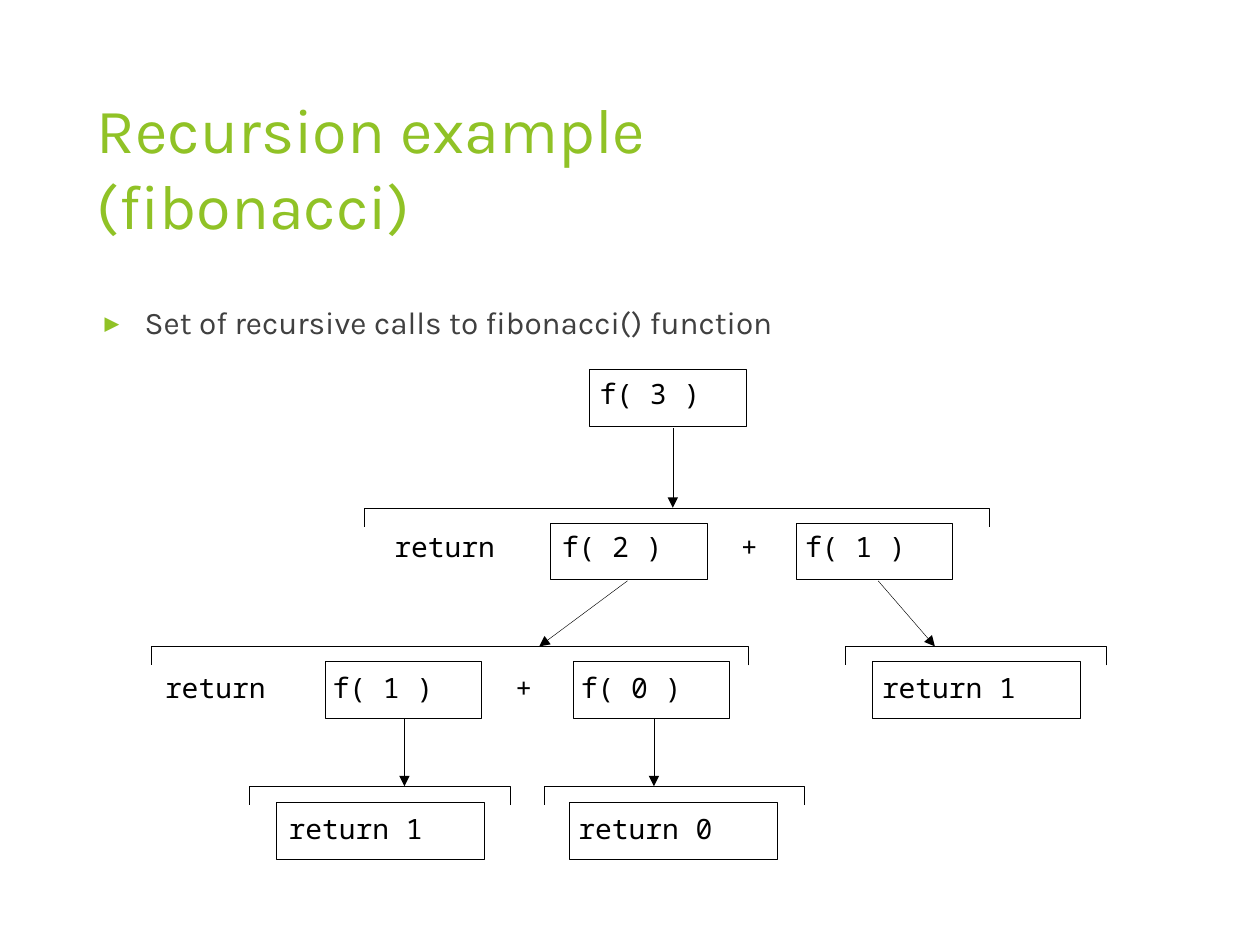
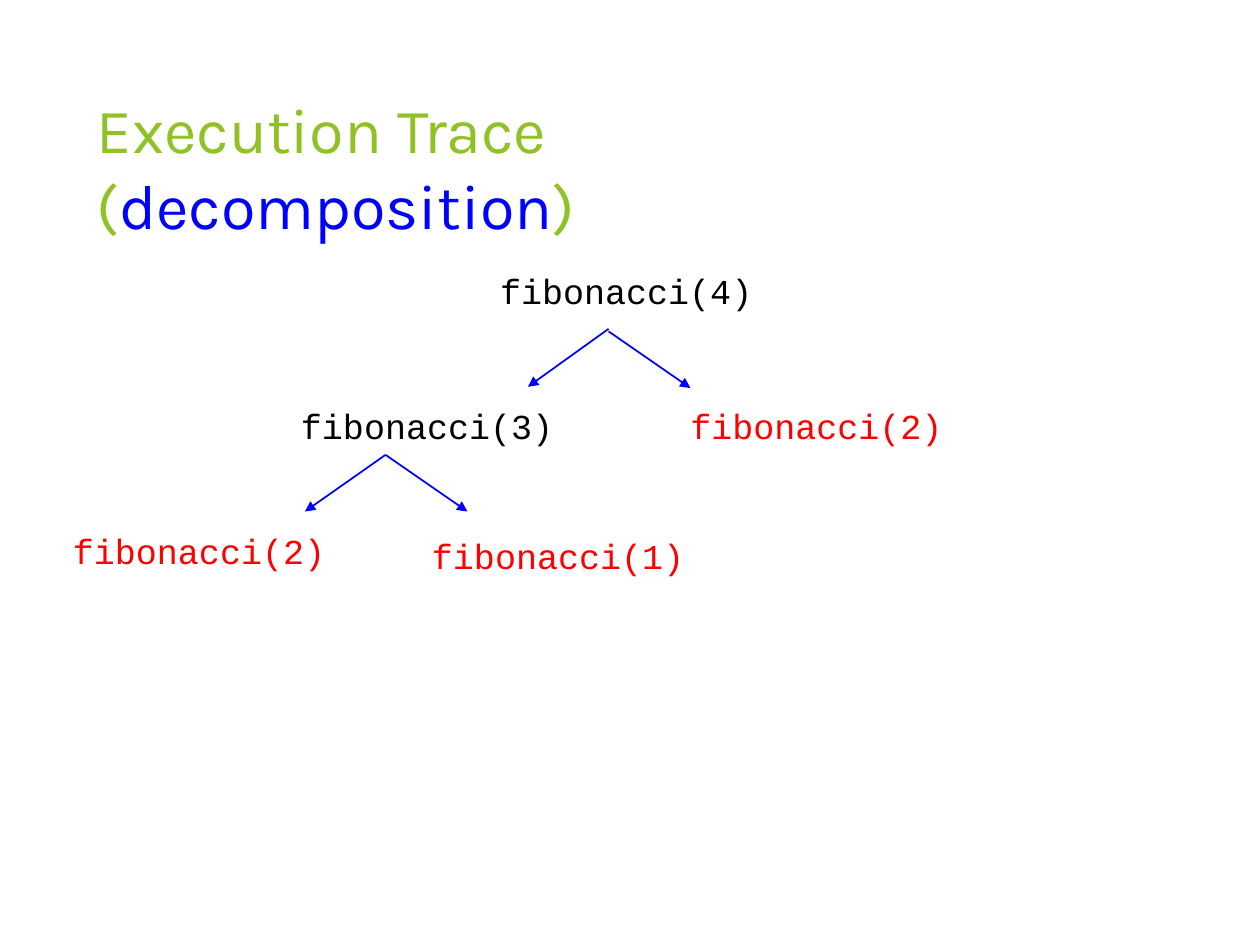
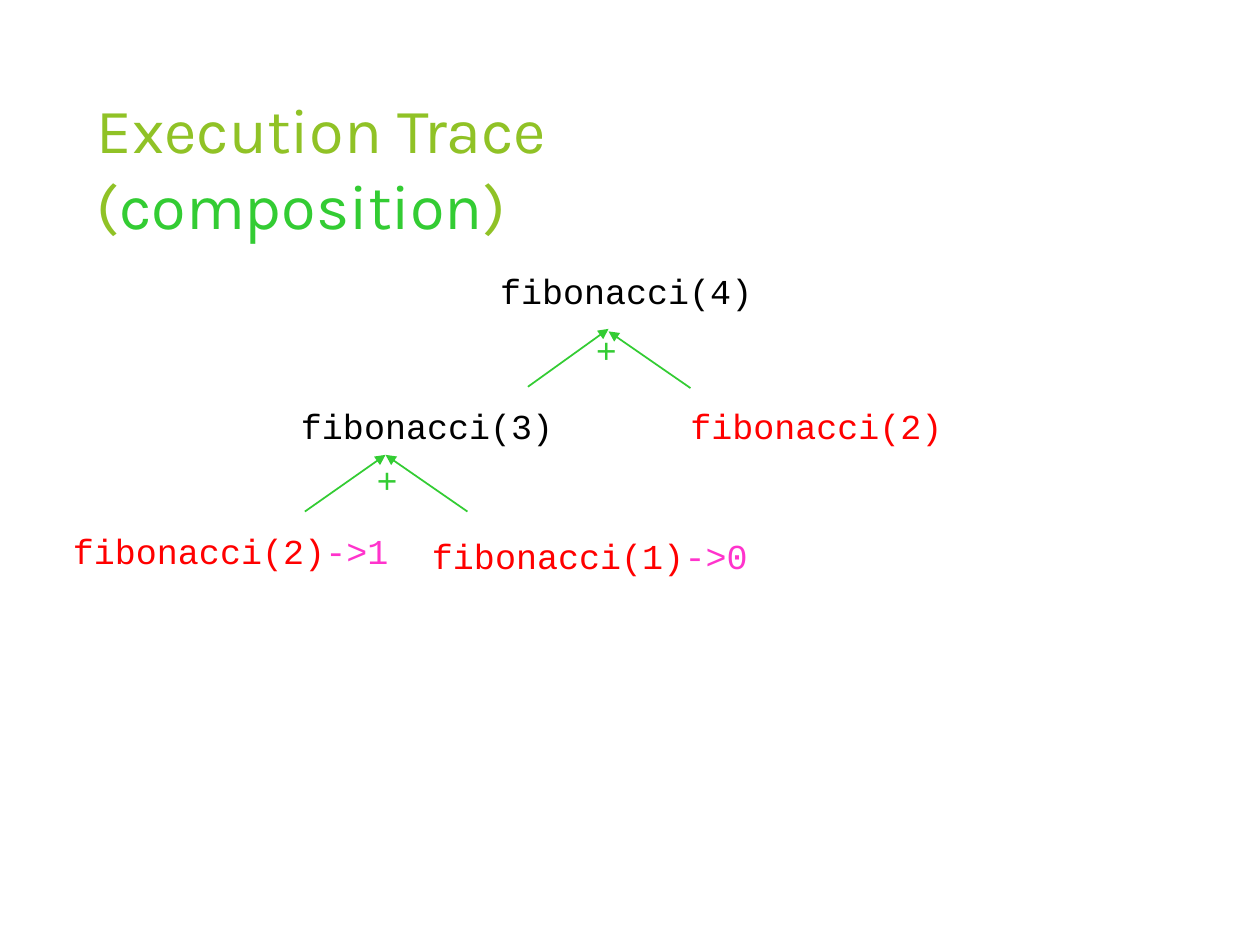
from dataclasses import dataclass
from typing import NamedTuple

from lxml import etree
from pptx import Presentation
from pptx import util as u
from pptx.dml.color import RGBColor
from pptx.enum import shapes, text
from pptx.oxml import ns


class Style(NamedTuple):
    font: str
    size: int


@dataclass(frozen=True)
class Theme:
    accent: str = "90C226"
    body_color: str = "404040"
    ink: str = "000000"
    base_case: str = "FF0000"
    result: str = "FF33CC"
    blue: str = "0000FF"
    green: str = "33CC33"
    title: Style = Style("Karla", 36)
    body: Style = Style("Karla", 18)
    node: Style = Style("Noto Sans Mono", 16)
    trace: Style = Style("Courier New", 20)
    thin: float = 0.25
    arrow: float = 1


THEME = Theme()


class Span(NamedTuple):
    words: str
    color: str = THEME.ink


class Area(NamedTuple):
    left: float
    top: float
    width: float
    height: float


class Link(NamedTuple):
    x1: float
    y1: float
    x2: float
    y2: float


class CallBox(NamedTuple):
    words: str
    left: float
    label_left: float
    width: float


class Label(NamedTuple):
    words: str
    left: float
    width: float


class Bracket(NamedTuple):
    left: float
    right: float


class Level(NamedTuple):
    """One row of the call tree: brackets, boxes and loose words."""
    bracket_top: float
    box_top: float
    label_top: float
    brackets: list[Bracket]
    calls: list[CallBox]
    labels: list[Label]


class TraceNode(NamedTuple):
    words: str
    left: float
    top: float
    color: str = THEME.ink
    value: str = ""


TITLE_AREA = Area(0.67, 0.67, 6.94, 1.44)
BODY_AREA = Area(0.67, 2.36, 6.94, 4.24)
BOX_HEIGHT, LABEL_HEIGHT, LABEL_EXTRA = 0.45, 0.35, 0.07
BRACKET_DEPTH = 0.15
CALL_WIDTH, RETURN_WIDTH = 1.24, 1.65
WORD_WIDTH, PLUS_WIDTH = 1.31, 0.28
TRACE_HEIGHT, TRACE_PADDING, TRACE_ADVANCE = 0.44, 0.21, 1 / 6

LEVELS = [
    Level(0, 2.93, 2.99, [], [CallBox("f( 3 )", 4.68, 4.76, CALL_WIDTH)], []),
    Level(4.03, 4.15, 4.2, [Bracket(2.89, 7.85)],
          [CallBox("f( 2 )", 4.37, 4.46, CALL_WIDTH), CallBox("f( 1 )", 6.32, 6.39, CALL_WIDTH)],
          [Label("return", 3.13, WORD_WIDTH), Label("+", 5.88, PLUS_WIDTH)]),
    Level(5.13, 5.25, 5.32, [Bracket(1.2, 5.94), Bracket(6.71, 8.78)],
          [CallBox("f( 1 )", 2.58, 2.64, CALL_WIDTH), CallBox("f( 0 )", 4.55, 4.61, CALL_WIDTH),
           CallBox("return 1", 6.92, 7, RETURN_WIDTH)],
          [Label("return", 1.31, WORD_WIDTH), Label("+", 4.09, PLUS_WIDTH)]),
    Level(6.24, 6.37, 6.44, [Bracket(1.98, 4.05), Bracket(4.32, 6.38)],
          [CallBox("return 1", 2.19, 2.29, RETURN_WIDTH),
           CallBox("return 0", 4.52, 4.59, RETURN_WIDTH)], []),
]
CALL_LINKS = [
    Link(5.34, 3.4, 5.34, 4.03), Link(4.98, 4.61, 4.28, 5.13), Link(6.97, 4.61, 7.42, 5.13),
    Link(3.21, 5.71, 3.21, 6.24), Link(5.19, 5.71, 5.19, 6.24),
]
TRACE_NODES = [
    TraceNode("fibonacci(4)", 3.87, 2.09),
    TraceNode("fibonacci(3)", 2.29, 3.16),
    TraceNode("fibonacci(2)", 5.38, 3.16, THEME.base_case),
    TraceNode("fibonacci(1)", 3.33, 4.19, THEME.base_case, "->0"),
    TraceNode("fibonacci(2)", 0.48, 4.15, THEME.base_case, "->1"),
]
TRACE_LINKS = [
    Link(4.83, 2.61, 4.19, 3.07), Link(4.83, 2.63, 5.48, 3.08),
    Link(3.06, 3.61, 2.42, 4.06), Link(3.06, 3.61, 3.71, 4.06),
]
PLUS_SIGNS = [TraceNode("+", 2.89, 3.59, THEME.green), TraceNode("+", 4.63, 2.56, THEME.green)]


# Shared drawing functions
def add_text(page, area: Area, style: Style, spans: list[Span], wrap=True, inset=True):
    box = page.shapes.add_textbox(*map(u.Inches, area))
    frame = box.text_frame
    frame.word_wrap = wrap
    if not wrap:
        frame.auto_size = text.MSO_AUTO_SIZE.SHAPE_TO_FIT_TEXT
    if not inset:
        frame.margin_left = frame.margin_right = frame.margin_top = frame.margin_bottom = 0
    para = frame.paragraphs[0]
    for words, color in spans:
        span = para.add_run()
        span.text = words
        span.font.name = style.font
        span.font.size = u.Pt(style.size)
        span.font.color.rgb = RGBColor.from_string(color)
    return para


def set_line(shape, color: str, width: float) -> None:
    shape.line.color.rgb = RGBColor.from_string(color)
    shape.line.width = u.Pt(width)


def add_outline(shape) -> None:
    shape.shadow.inherit = False
    shape.fill.background()
    set_line(shape, THEME.ink, THEME.thin)


def add_arrow(page, link: Link, color: str, width: float, end: str = "tailEnd") -> None:
    arrow = page.shapes.add_connector(shapes.MSO_CONNECTOR.STRAIGHT, *map(u.Inches, link))
    set_line(arrow, color, width)
    etree.SubElement(arrow.line._get_or_add_ln(), ns.qn(f"a:{end}"), type="triangle")
    etree.SubElement(arrow._element.spPr, ns.qn("a:effectLst"))


def add_page(deck, title: list[Span]):
    page = deck.slides.add_slide(deck.slide_layouts[6])
    add_text(page, TITLE_AREA, THEME.title, title)
    return page


# Call tree
def add_bullet(page, words: str) -> None:
    para = add_text(page, BODY_AREA, THEME.body, [Span(words, THEME.body_color)])
    para.space_before = u.Pt(10)
    props = para._p.get_or_add_pPr()
    indent = u.Inches(0.38)
    props.set("marL", str(indent))
    props.set("indent", str(-indent))
    color = etree.SubElement(props, ns.qn("a:buClr"))
    etree.SubElement(color, ns.qn("a:srgbClr"), val=THEME.accent)
    etree.SubElement(props, ns.qn("a:buSzPct"), val="80000")
    etree.SubElement(props, ns.qn("a:buFont"), typeface=THEME.node.font)
    etree.SubElement(props, ns.qn("a:buChar"), char="▶")


def add_bracket(page, bracket: Bracket, top: float) -> None:
    left, right = map(u.Inches, bracket)
    upper, lower = u.Inches(top), u.Inches(top + BRACKET_DEPTH)
    builder = page.shapes.build_freeform(right, lower)
    builder.add_line_segments([(right, upper), (left, upper), (left, lower)], close=False)
    add_outline(builder.convert_to_shape())


def add_level(page, level: Level) -> None:
    for bracket in level.brackets:
        add_bracket(page, bracket, level.bracket_top)
    labels = list(level.labels)
    for call in level.calls:
        area = Area(call.left, level.box_top, call.width, BOX_HEIGHT)
        add_outline(page.shapes.add_shape(shapes.MSO_SHAPE.RECTANGLE, *map(u.Inches, area)))
        labels.append(Label(call.words, call.label_left, call.width + LABEL_EXTRA))
    for label in labels:
        area = Area(label.left, level.label_top, label.width, LABEL_HEIGHT)
        add_text(page, area, THEME.node, [Span(label.words)], inset=False)


def build_call_tree(deck) -> None:
    page = add_page(deck, [Span("Recursion example (fibonacci)", THEME.accent)])
    add_bullet(page, "Set of recursive calls to fibonacci() function")
    for level in LEVELS:
        add_level(page, level)
    for link in CALL_LINKS:
        add_arrow(page, link, THEME.ink, THEME.thin)


# Execution traces
def add_trace_node(page, node: TraceNode, show_value: bool) -> None:
    spans = [Span(node.words, node.color)]
    if show_value and node.value:
        spans.append(Span(node.value, THEME.result))
    letters = sum(len(span.words) for span in spans)
    area = Area(node.left, node.top, TRACE_PADDING + letters * TRACE_ADVANCE, TRACE_HEIGHT)
    add_text(page, area, THEME.trace, spans, wrap=False)


def build_trace(deck, phase: str, color: str, composing: bool) -> None:
    page = add_page(deck, [Span("Execution Trace (", THEME.accent), Span(phase, color),
                           Span(")", THEME.accent)])
    for node in TRACE_NODES:
        add_trace_node(page, node, composing)
    for link in TRACE_LINKS:
        add_arrow(page, link, color, THEME.arrow, "headEnd" if composing else "tailEnd")
    if composing:
        for sign in PLUS_SIGNS:
            add_trace_node(page, sign, False)


def main() -> None:
    deck = Presentation()
    deck.slide_width, deck.slide_height = u.Inches(10), u.Inches(7.5)
    build_call_tree(deck)
    build_trace(deck, "decomposition", THEME.blue, composing=False)
    build_trace(deck, "composition", THEME.green, composing=True)
    deck.save("out.pptx")


if __name__ == "__main__":
    main()
